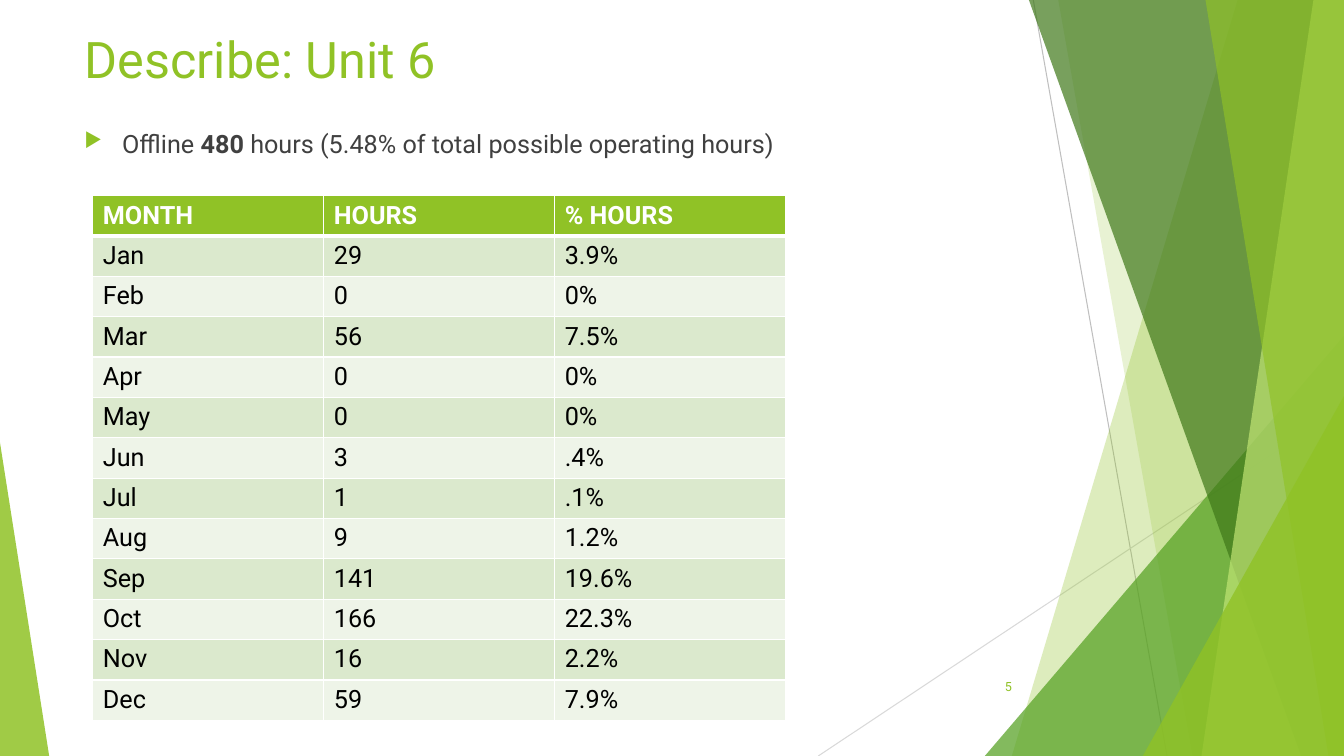
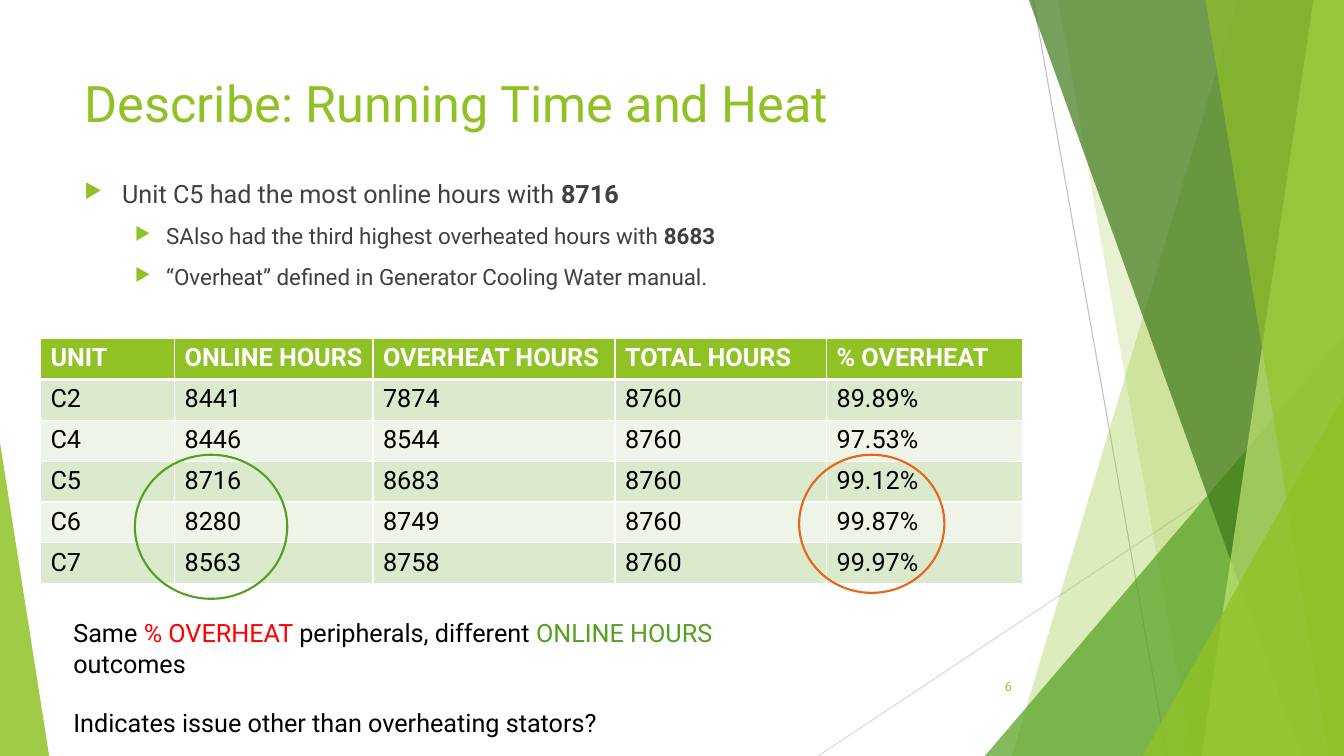
from dataclasses import dataclass
from typing import Optional

from lxml.etree import SubElement
from pptx import Presentation
from pptx.dml.color import RGBColor as RGB
from pptx.enum.shapes import MSO_CONNECTOR as Connector, MSO_SHAPE as Shape
from pptx.enum.text import MSO_ANCHOR as Anchor, MSO_AUTO_SIZE as AutoSize, PP_ALIGN as Align
from pptx.oxml.ns import qn
from pptx.util import Cm, Pt

WIDTH, HEIGHT = 33.87, 19.05  # slide size in cm


@dataclass(frozen=True)
class Theme:
    font: str = "Roboto"
    lime: RGB = RGB(0x90, 0xC2, 0x26)
    pale_lime: RGB = RGB(0xC0, 0xE4, 0x74)
    green: RGB = RGB(0x54, 0xA0, 0x21)
    forest: RGB = RGB(0x3F, 0x78, 0x19)
    orange: RGB = RGB(0xE7, 0x66, 0x18)
    red: RGB = RGB(0xFF, 0x00, 0x00)
    black: RGB = RGB(0x00, 0x00, 0x00)
    white: RGB = RGB(0xFF, 0xFF, 0xFF)
    body: RGB = RGB(0x40, 0x40, 0x40)
    gray: RGB = RGB(0xBF, 0xBF, 0xBF)
    light_gray: RGB = RGB(0xD9, 0xD9, 0xD9)
    row_bands: tuple = (RGB(0xDB, 0xE9, 0xCD), RGB(0xEE, 0xF4, 0xE8))
    title_size: int = 36
    text_size: int = 18
    detail_size: int = 16
    number_size: int = 9


THEME = Theme()


@dataclass(frozen=True)
class Piece:
    """A stretch of text that may differ from its paragraph."""
    text: str
    bold: Optional[bool] = None
    color: Optional[RGB] = None


class Deck:
    def __init__(self, theme):
        self.theme = theme
        self.presentation = Presentation()
        self.presentation.slide_width = Cm(WIDTH)
        self.presentation.slide_height = Cm(HEIGHT)
        self.layout = self.presentation.slide_layouts[5]  # title only
        self.slide = None

    # --- Slides and shared backdrop ---
    def add_slide(self, title, number, title_top):
        first = self.slide is None
        self.slide = self.presentation.slides.add_slide(self.layout)
        if first:
            self.backdrop()
        shape = self.slide.shapes.title
        shape.left, shape.top, shape.width, shape.height = map(Cm, (1.88, title_top, 23.88, 3.66))
        frame = shape.text_frame
        frame.vertical_anchor = Anchor.TOP
        frame.auto_size = AutoSize.NONE
        self.fill_paragraph(frame.paragraphs[0], [Piece(title)],
                            self.theme.title_size, self.theme.lime)
        self.page_number(number)

    def backdrop(self):
        """Draw the facets as one group and place it on the layout."""
        theme = self.theme
        group = self.slide.shapes.add_group_shape()
        self.thin_line(group, (26.04, 0), (29.41, HEIGHT), theme.gray)
        self.thin_line(group, (WIDTH, 10.24), (20.62, HEIGHT), theme.light_gray)
        self.facet(group, 31.19, 25.5, theme.lime, 30)
        self.facet(group, 26.67, 30.05, theme.lime, 20)
        self.triangle(group, 24.82, 8.46, WIDTH, 1, theme.green, 72)
        self.facet(group, 25.93, 32.79, theme.forest, 70)
        self.facet(group, 33.1, 30.28, theme.pale_lime, 70)
        self.facet(group, 30.38, 33.48, theme.lime, 65)
        self.triangle(group, 28.8, 9.98, WIDTH, 1, theme.lime, 80)
        self.triangle(group, 0, 11.15, 1.24, 0, theme.lime, 85)
        for properties in group.element.iter(qn("p:cNvPr")):
            properties.set("id", str(int(properties.get("id")) + 100))
        self.layout.shapes.element.insert(2, group.element)

    def thin_line(self, group, start, end, color):
        line = group.shapes.add_connector(Connector.STRAIGHT, *map(Cm, start + end))
        line.line.color.rgb = color
        line.line.width = Pt(0.75)
        SubElement(line.element.spPr, qn("a:effectLst"))

    def facet(self, group, top_x, bottom_x, color, opacity):
        """Area between a slanted left edge and the right side of the slide."""
        builder = group.shapes.build_freeform(Cm(top_x), 0)
        corners = ((WIDTH, 0), (WIDTH, HEIGHT), (bottom_x, HEIGHT))
        builder.add_line_segments([(Cm(x), Cm(y)) for x, y in corners])
        self.tint(builder.convert_to_shape(), color, opacity)

    def triangle(self, group, left, top, right, apex, color, opacity):
        shape = group.shapes.add_shape(
            Shape.ISOSCELES_TRIANGLE, Cm(left), Cm(top), Cm(right - left), Cm(HEIGHT - top))
        shape.adjustments[0] = apex
        self.tint(shape, color, opacity)

    def tint(self, shape, color, opacity):
        shape.shadow.inherit = False
        shape.line.fill.background()
        shape.fill.solid()
        shape.fill.fore_color.rgb = color
        color_element = shape.element.spPr.find(f"{qn('a:solidFill')}/{qn('a:srgbClr')}")
        SubElement(color_element, qn("a:alpha"), val=str(opacity * 1000))

    # --- Text ---
    def fill_paragraph(self, paragraph, pieces, size, color, bold=False, align=Align.LEFT):
        paragraph.alignment = align
        font = paragraph.font
        font.name, font.size, font.bold = self.theme.font, Pt(size), bold
        font.color.rgb = color
        for piece in pieces:
            run = paragraph.add_run()
            run.text = piece.text
            if piece.bold is not None:
                run.font.bold = piece.bold
            if piece.color is not None:
                run.font.color.rgb = piece.color

    def text_frame(self, left, top, width, height):
        box = self.slide.shapes.add_textbox(*map(Cm, (left, top, width, height)))
        box.text_frame.word_wrap = True
        return box.text_frame

    def paragraphs(self, frame, count, gap):
        """Yield the paragraphs of a frame, spaced by gap points."""
        for index in range(count):
            paragraph = frame.add_paragraph() if index else frame.paragraphs[0]
            paragraph.space_before = Pt(gap if index else 0)
            yield paragraph

    def bullets(self, top, items):
        """Items are (level, pieces)."""
        theme = self.theme
        frame = self.text_frame(1.88, top, 23.88, 16.79 - top)
        for paragraph, (level, pieces) in zip(self.paragraphs(frame, len(items), 10), items):
            margin, hanging, size = ((0.95, 0.95, theme.text_size),
                                     (2.06, 0.79, theme.detail_size))[level]
            paragraph.level = level
            properties = paragraph._p.get_or_add_pPr()
            properties.set("marL", str(Cm(margin)))
            properties.set("indent", str(-Cm(hanging)))
            bullet_color = SubElement(properties, qn("a:buClr"))
            SubElement(bullet_color, qn("a:srgbClr"), val=str(theme.lime))
            SubElement(properties, qn("a:buSzPct"), val="80000")
            SubElement(properties, qn("a:buChar"), char="▶")
            self.fill_paragraph(paragraph, pieces, size, theme.body)

    def note(self, left, top, width, height, lines):
        frame = self.text_frame(left, top, width, height)
        for paragraph, pieces in zip(self.paragraphs(frame, len(lines), 21), lines):
            self.fill_paragraph(paragraph, pieces, self.theme.text_size, self.theme.black)

    def page_number(self, number):
        frame = self.text_frame(23.85, 16.79, 1.9, 1.02)
        frame.vertical_anchor = Anchor.MIDDLE
        self.fill_paragraph(frame.paragraphs[0], [Piece(str(number))],
                            self.theme.number_size, self.theme.lime, align=Align.RIGHT)

    # --- Tables and marks ---
    def table(self, left, top, column_widths, row_height, rows):
        theme = self.theme
        table = self.slide.shapes.add_table(
            len(rows), len(column_widths), Cm(left), Cm(top),
            Cm(sum(column_widths)), Cm(row_height * len(rows))).table
        for column, width in zip(table.columns, column_widths):
            column.width = Cm(width)
        for row_index, values in enumerate(rows):
            header = row_index == 0
            fill = theme.lime if header else theme.row_bands[(row_index - 1) % 2]
            color = theme.white if header else theme.black
            for column_index, value in enumerate(values):
                cell = table.cell(row_index, column_index)
                self.borders(cell, top=3 if row_index == 1 else 1, bottom=3 if header else 1)
                cell.fill.solid()
                cell.fill.fore_color.rgb = fill
                self.fill_paragraph(cell.text_frame.paragraphs[0], [Piece(value)],
                                    theme.text_size, color, bold=header)

    def borders(self, cell, top, bottom):
        properties = cell._tc.get_or_add_tcPr()
        for side, points in (("L", 1), ("R", 1), ("T", top), ("B", bottom)):
            border = SubElement(properties, qn(f"a:ln{side}"), w=str(Pt(points)))
            fill = SubElement(border, qn("a:solidFill"))
            SubElement(fill, qn("a:srgbClr"), val=str(self.theme.white))

    def ring(self, left, top, width, height, color):
        shape = self.slide.shapes.add_shape(Shape.OVAL, *map(Cm, (left, top, width, height)))
        shape.shadow.inherit = False
        shape.fill.background()
        shape.line.color.rgb = color
        shape.line.width = Pt(1.5)


def unit_6_slide(deck):
    deck.add_slide("Describe: Unit 6", 5, title_top=0.58)
    deck.bullets(3.1, [
        (0, [Piece("Offline "), Piece("480", bold=True),
             Piece(" hours (5.48% of total possible operating hours)")]),
    ])
    deck.table(2.34, 4.93, [5.82] * 3, 1, [
        ("MONTH", "HOURS", "% HOURS"),
        ("Jan", "29", "3.9%"),
        ("Feb", "0", "0%"),
        ("Mar", "56", "7.5%"),
        ("Apr", "0", "0%"),
        ("May", "0", "0%"),
        ("Jun", "3", ".4%"),
        ("Jul", "1", ".1%"),
        ("Aug", "9", "1.2%"),
        ("Sep", "141", "19.6%"),
        ("Oct", "166", "22.3%"),
        ("Nov", "16", "2.2%"),
        ("Dec", "59", "7.9%"),
    ])


def running_time_slide(deck):
    theme = deck.theme
    deck.add_slide("Describe: Running Time and Heat", 6, title_top=1.7)
    deck.bullets(4.37, [
        (0, [Piece("Unit C5 had the most online hours with "), Piece("8716", bold=True)]),
        (1, [Piece("SAlso had the third highest overheated hours with "),
             Piece("8683", bold=True)]),
        (1, [Piece("“Overheat” defined in Generator Cooling Water manual.")]),
    ])
    deck.table(1.02, 8.53, [3.38, 5, 6.1, 5.33, 4.95], 1.03, [
        ("UNIT", "ONLINE HOURS", "OVERHEAT HOURS", "TOTAL HOURS", "% OVERHEAT"),
        ("C2", "8441", "7874", "8760", "89.89%"),
        ("C4", "8446", "8544", "8760", "97.53%"),
        ("C5", "8716", "8683", "8760", "99.12%"),
        ("C6", "8280", "8749", "8760", "99.87%"),
        ("C7", "8563", "8758", "8760", "99.97%"),
    ])
    deck.ring(20.14, 11.46, 3.66, 3.48, theme.orange)
    deck.note(1.6, 15.44, 18.54, 3.33, [
        [Piece("Same "), Piece("% OVERHEAT ", color=theme.red),
         Piece("peripherals, different "), Piece("ONLINE HOURS ", color=theme.green),
         Piece("outcomes")],
        [Piece("Indicates issue other than overheating stators?")],
    ])
    deck.ring(3.4, 11.46, 3.84, 3.63, theme.green)


def main():
    deck = Deck(THEME)
    unit_6_slide(deck)
    running_time_slide(deck)
    deck.presentation.save("out.pptx")


if __name__ == "__main__":
    main()
